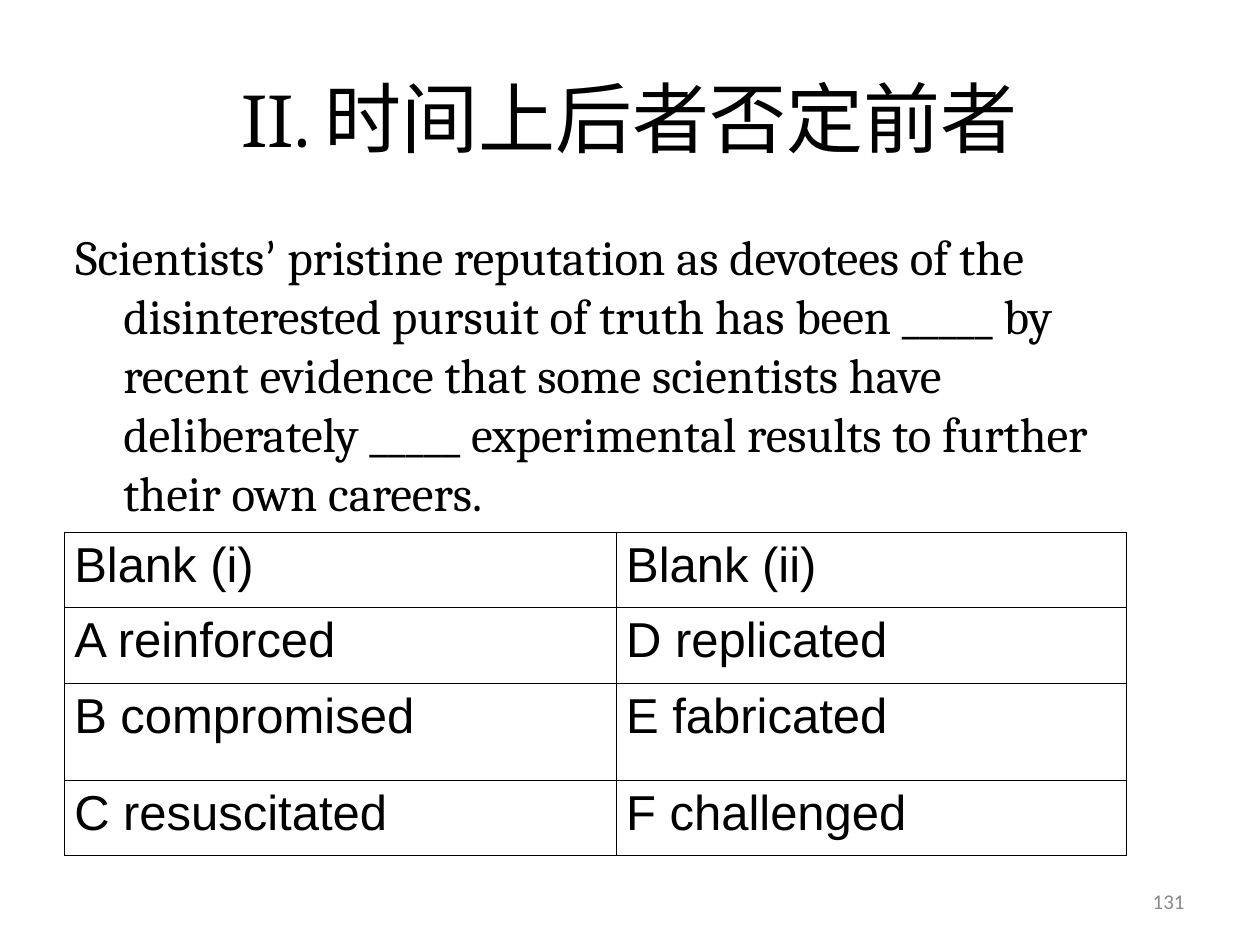
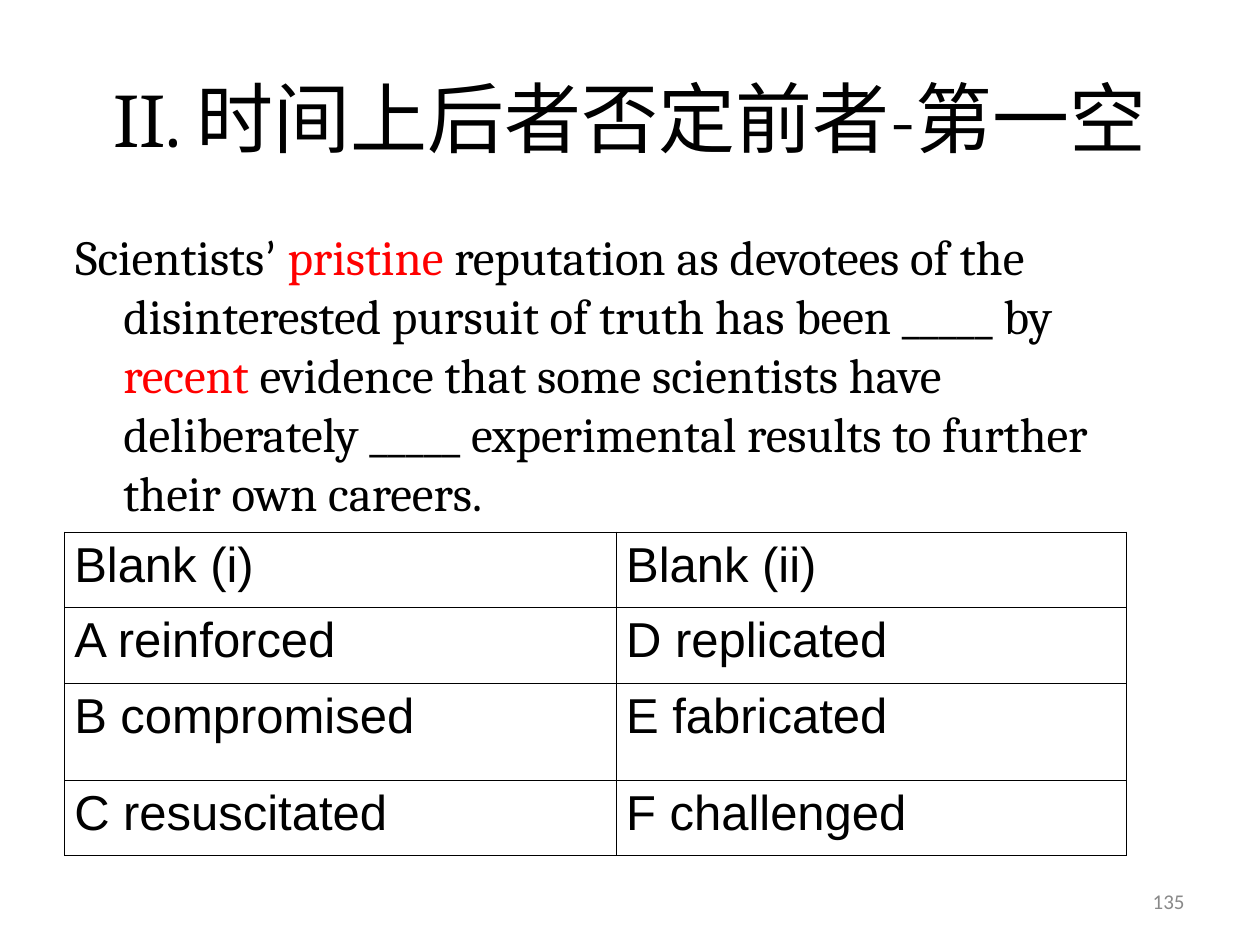
from lxml.etree import SubElement
from pptx import Presentation
from pptx.dml.color import RGBColor
from pptx.enum.text import MSO_ANCHOR, PP_ALIGN
from pptx.oxml.ns import qn
from pptx.util import Inches, Pt

WIDTH, HEIGHT = Inches(10), Inches(7.5)
COLUMN, ROW = WIDTH / 20, HEIGHT / 30
BLACK, RED, GREY = "000000", "FF0000", "898989"
SERIF, SANS, NUMBER_FONT = "Cambria", "Arial", "Calibri"
TITLE_SIZE, TEXT_SIZE, NUMBER_SIZE = 44, 28, 12
HANGING = Inches(0.38)
CHOICE_COLUMNS = (8.76, 8.1)
CHOICE_ROWS = (2.4, 2.4, 3.08, 2.4)
CHOICES = (
    ("Blank (i)", "Blank (ii)"),
    ("A reinforced", "D replicated"),
    ("B compromised", "E fabricated"),
    ("C resuscitated", "F challenged"),
)
TITLE = "II. 时间上后者否定前者"
PLAIN_SENTENCE = (
    ("Scientists", SERIF, BLACK),
    ("’", NUMBER_FONT, BLACK),
    (" pristine reputation as devotees of the disinterested pursuit of truth "
     "has been _____ by recent evidence that some scientists have deliberately "
     "_____ experimental results to further their own careers.", SERIF, BLACK),
)
MARKED_SENTENCE = (
    ("Scientists", SERIF, BLACK),
    ("’ ", NUMBER_FONT, BLACK),
    ("pristine", SERIF, RED),
    (" reputation as devotees of the disinterested pursuit of truth "
     "has been _____ by", SERIF, BLACK),
    (" recent ", SERIF, RED),
    ("evidence that some scientists have deliberately _____ experimental "
     "results to further their own careers.", SERIF, BLACK),
)


def color(hex_value):
    """Turn a hex string into a colour."""
    return RGBColor.from_string(hex_value)


def place(left, top, width, height):
    """Turn grid columns and rows into slide lengths."""
    return (round(left * COLUMN), round(top * ROW),
            round(width * COLUMN), round(height * ROW))


def style_run(r, font, size, hex_value):
    """Set the font, size and colour of a run."""
    r.font.name = font
    r.font.size = Pt(size)
    r.font.color.rgb = color(hex_value)


def add_text(s, area, runs, size, align=PP_ALIGN.LEFT, anchor=MSO_ANCHOR.MIDDLE):
    """Add a one-paragraph text box and return its paragraph."""
    tf = s.shapes.add_textbox(*place(*area)).text_frame
    tf.word_wrap = True
    tf.vertical_anchor = anchor
    p = tf.paragraphs[0]
    p.alignment = align
    for text, font, hex_value in runs:
        r = p.add_run()
        r.text = text
        style_run(r, font, size, hex_value)
    return p


def add_title(s, text):
    """Add the centred slide title."""
    add_text(s, (1, 1.2, 18, 5), [(text, SERIF, BLACK)], TITLE_SIZE, PP_ALIGN.CENTER)


def add_sentence(s, runs):
    """Add the question sentence with a hanging indent."""
    p = add_text(s, (1, 7, 17.82, 19.8), runs, TEXT_SIZE, anchor=MSO_ANCHOR.TOP)
    pPr = p._p.get_or_add_pPr()
    pPr.set("marL", str(HANGING))
    pPr.set("indent", str(-HANGING))


def add_number(s, number):
    """Add the slide number at the lower right."""
    add_text(s, (14.34, 27.8, 4.66, 1.6), [(str(number), NUMBER_FONT, GREY)],
             NUMBER_SIZE, PP_ALIGN.RIGHT)


def outline_cell(cell):
    """Draw a hairline on each side of a cell and leave it unfilled."""
    tcPr = cell._tc.get_or_add_tcPr()
    for side in ("lnL", "lnR", "lnT", "lnB"):
        line = SubElement(tcPr, qn(f"a:{side}"), w=str(Pt(0.11)))
        fill = SubElement(line, qn("a:solidFill"))
        SubElement(fill, qn("a:srgbClr"), val=BLACK)
    cell.fill.background()


def add_choices(s):
    """Add the table of answer choices."""
    area = place(1.02, 16.88, sum(CHOICE_COLUMNS), sum(CHOICE_ROWS))
    table = s.shapes.add_table(len(CHOICE_ROWS), len(CHOICE_COLUMNS), *area).table
    table.first_row = table.horz_banding = False
    for column, width in zip(table.columns, CHOICE_COLUMNS):
        column.width = round(width * COLUMN)
    for row, height, texts in zip(table.rows, CHOICE_ROWS, CHOICES):
        row.height = round(height * ROW)
        for cell, text in zip(row.cells, texts):
            cell.margin_left = cell.margin_right = Inches(0.08)
            cell.text_frame.text = text
            p = cell.text_frame.paragraphs[0]
            p.alignment = PP_ALIGN.JUSTIFY
            style_run(p.runs[0], SANS, TEXT_SIZE, BLACK)
            outline_cell(cell)


def add_question(prs, title, sentence, number):
    """Add one question slide."""
    s = prs.slides.add_slide(prs.slide_layouts[6])
    add_number(s, number)
    add_sentence(s, sentence)
    add_title(s, title)
    add_choices(s)


def main():
    """Build and save the presentation."""
    prs = Presentation()
    prs.slide_width, prs.slide_height = WIDTH, HEIGHT
    add_question(prs, TITLE, PLAIN_SENTENCE, 131)
    add_question(prs, TITLE + "-第一空", MARKED_SENTENCE, 135)
    prs.save("out.pptx")


if __name__ == "__main__":
    main()
